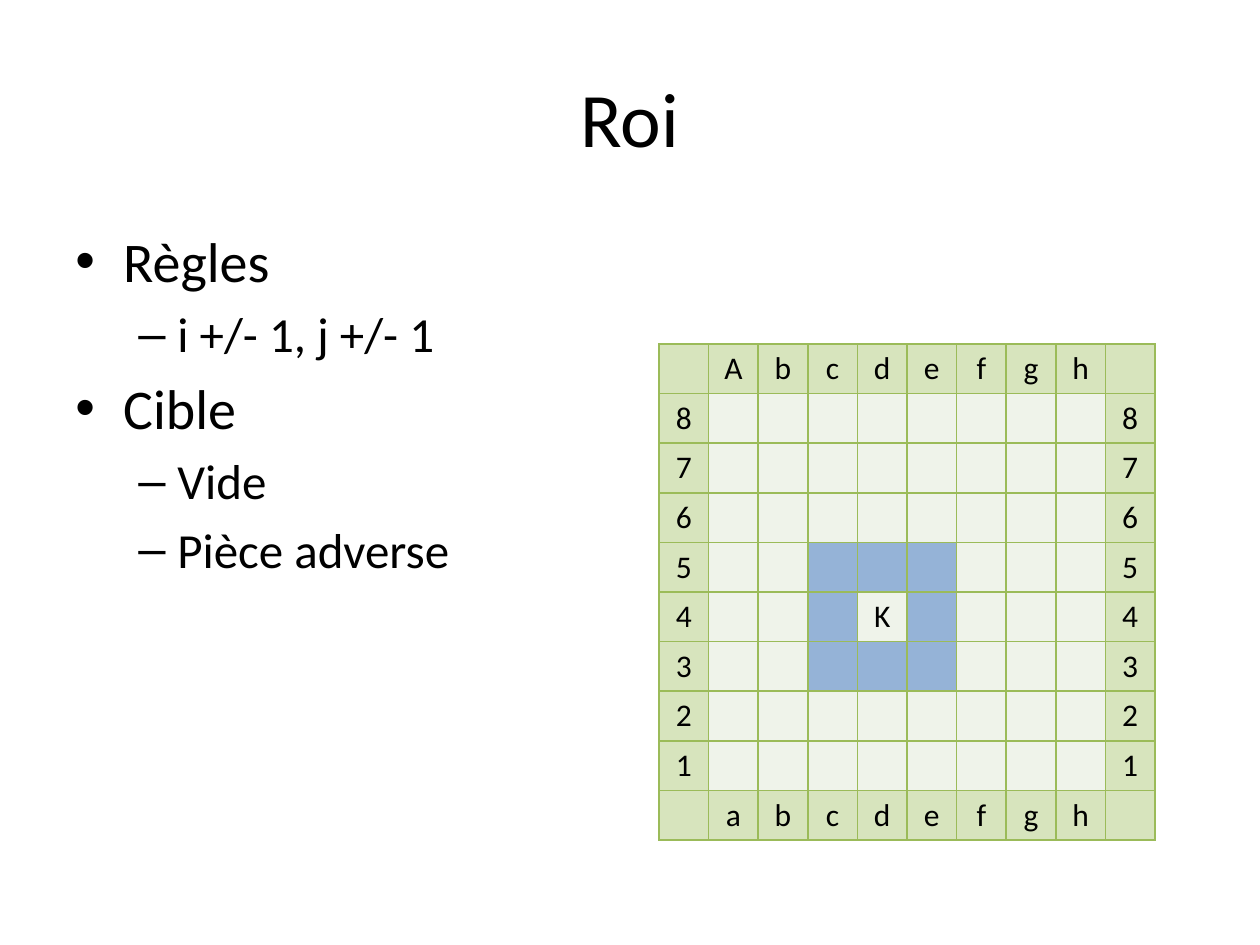
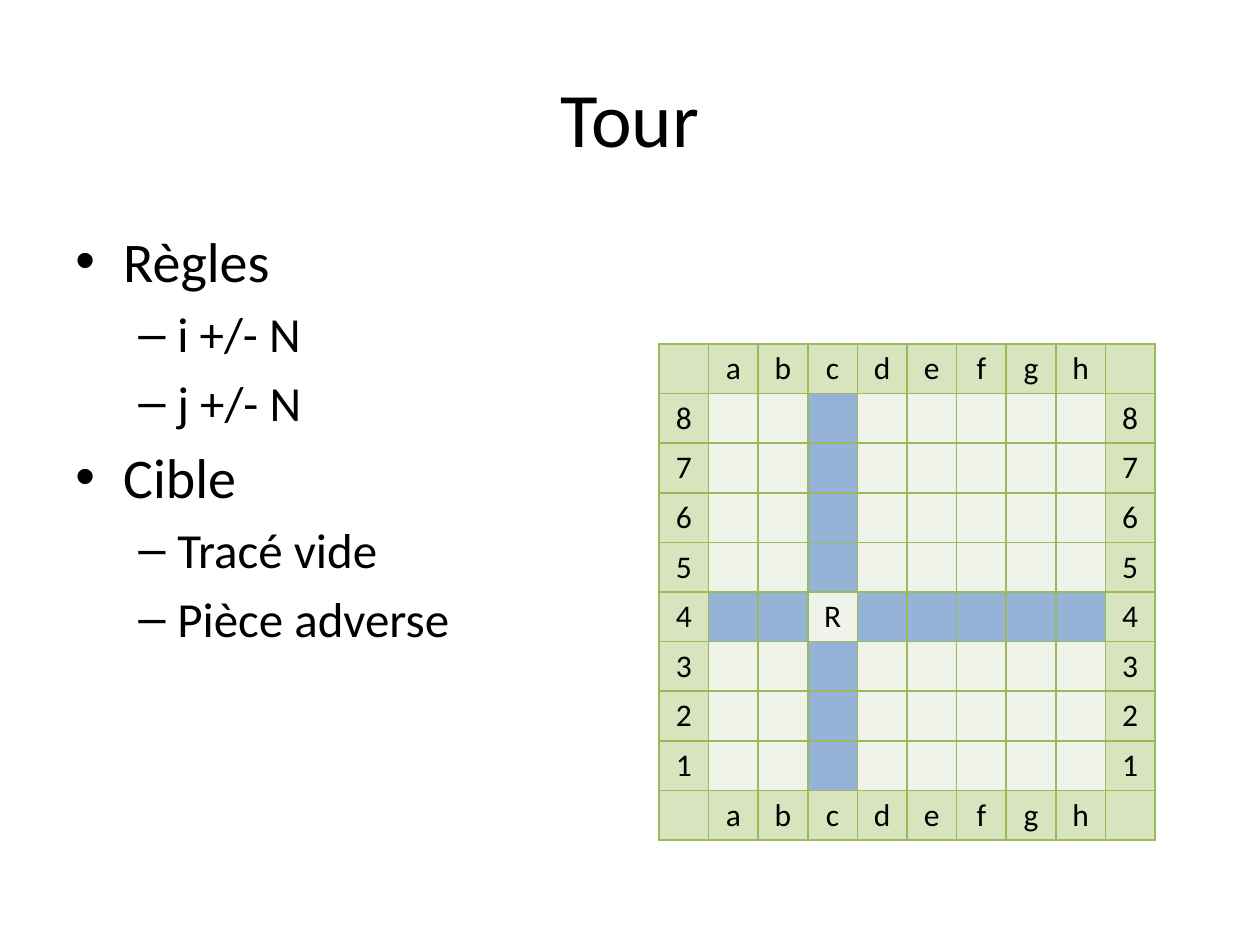
from lxml import etree
from pptx import Presentation
from pptx.dml.color import RGBColor
from pptx.enum.text import MSO_ANCHOR, PP_ALIGN
from pptx.oxml.ns import qn
from pptx.util import Inches, Pt

MID, TOP = MSO_ANCHOR.MIDDLE, MSO_ANCHOR.TOP
CENTER = PP_ALIGN.CENTER
FONT = "Calibri"
COLORS = {"text": "000000", "edge": "D7E4BD", "square": "EFF3EA",
          "reach": "95B3D7", "line": "9BBB59"}

# Size, bullet, left margin and hanging indent of each text level
LEVELS = [(32, "•", 0.38, -0.38), (28, "–", 0.81, -0.31)]

# Board: ten by ten cells, the outer ring holding the labels
COUNT = 10
SIDE = Inches(3.94)
CELL = SIDE // COUNT
LAST = COUNT - 1

SLIDES = [
    {"title": "Roi", "piece": "K", "at": (5, 4), "top": "Abcdefgh",
     "moves": lambda down, over: max(down, over) == 1,
     "body": [(0, "Règles"), (1, "i +/- 1, j +/- 1"), (0, "Cible"),
              (1, "Vide"), (1, "Pièce adverse")]},
    {"title": "Tour", "piece": "R", "at": (5, 3), "top": "abcdefgh",
     "moves": lambda down, over: (down == 0) != (over == 0),
     "body": [(0, "Règles"), (1, "i +/- N"), (1, "j +/- N"), (0, "Cible"),
              (1, "Tracé vide"), (1, "Pièce adverse")]},
]


def style(para, size):
    para.font.size = Pt(size)
    for run in para.runs:
        run.font.size = Pt(size)
        run.font.name = FONT
        run.font.color.rgb = RGBColor.from_string(COLORS["text"])


def add_box(slide, top, height, anchor):
    box = slide.shapes.add_textbox(
        wide // 20, int(tall * top), wide * 9 // 10, int(tall * height))
    frame = box.text_frame
    frame.word_wrap = True
    frame.vertical_anchor = anchor
    return frame


prs = Presentation()
prs.slide_width, prs.slide_height = Inches(10), Inches(7.5)
wide, tall = prs.slide_width, prs.slide_height

for page in SLIDES:
    slide = prs.slides.add_slide(prs.slide_layouts[6])

    # Chess board
    board = slide.shapes.add_table(
        COUNT, COUNT, Inches(5.23), Inches(2.73), SIDE, SIDE).table
    board.first_row = board.horz_banding = False
    for line in board.rows:
        line.height = CELL
    for line in board.columns:
        line.width = CELL

    for row in range(COUNT):
        for col in range(COUNT):
            cell = board.cell(row, col)
            down, over = abs(row - page["at"][0]), abs(col - page["at"][1])
            ends, sides = row in (0, LAST), col in (0, LAST)

            # Label and fill
            text, fill = "", "square"
            if ends or sides:
                fill = "edge"
                if not sides:
                    text = (page["top"] if row == 0 else "abcdefgh")[col - 1]
                elif not ends:
                    text = str(LAST - row)
            elif down == over == 0:
                text = page["piece"]
            elif page["moves"](down, over):
                fill = "reach"
            cell.text_frame.text = text
            para = cell.text_frame.paragraphs[0]
            para.alignment = CENTER
            style(para, 18)
            cell.vertical_anchor = MID
            cell.margin_left = cell.margin_right = 0
            cell.margin_top = cell.margin_bottom = 0
            cell.fill.solid()
            cell.fill.fore_color.rgb = RGBColor.from_string(COLORS[fill])

            # Borders stand before the fill in the cell's XML
            props = cell._tc.get_or_add_tcPr()
            for spot, name in enumerate(("lnL", "lnR", "lnT", "lnB")):
                edge = etree.Element(qn("a:" + name), w=str(Pt(1)))
                solid = etree.SubElement(edge, qn("a:solidFill"))
                etree.SubElement(solid, qn("a:srgbClr"), val=COLORS["line"])
                props.insert(spot, edge)

    # Title
    frame = add_box(slide, 0.04, 1 / 6, MID)
    frame.text = page["title"]
    frame.paragraphs[0].alignment = CENTER
    style(frame.paragraphs[0], 44)

    # Rules and targets
    frame = add_box(slide, 7 / 30, 0.66, TOP)
    frame.text = "\n".join(text for _, text in page["body"])
    for para, (level, _) in zip(frame.paragraphs, page["body"]):
        size, mark, left, hang = LEVELS[level]
        para.level = level
        para.space_before = Pt(size * 0.2)
        style(para, size)
        props = para._p.get_or_add_pPr()
        props.set("marL", str(Inches(left)))
        props.set("indent", str(Inches(hang)))
        font = etree.Element(qn("a:buFont"), typeface="Arial")
        sign = etree.Element(qn("a:buChar"), char=mark)
        spot = list(props).index(props.find(qn("a:spcBef"))) + 1
        props.insert(spot, font)
        props.insert(spot + 1, sign)

prs.save("out.pptx")
